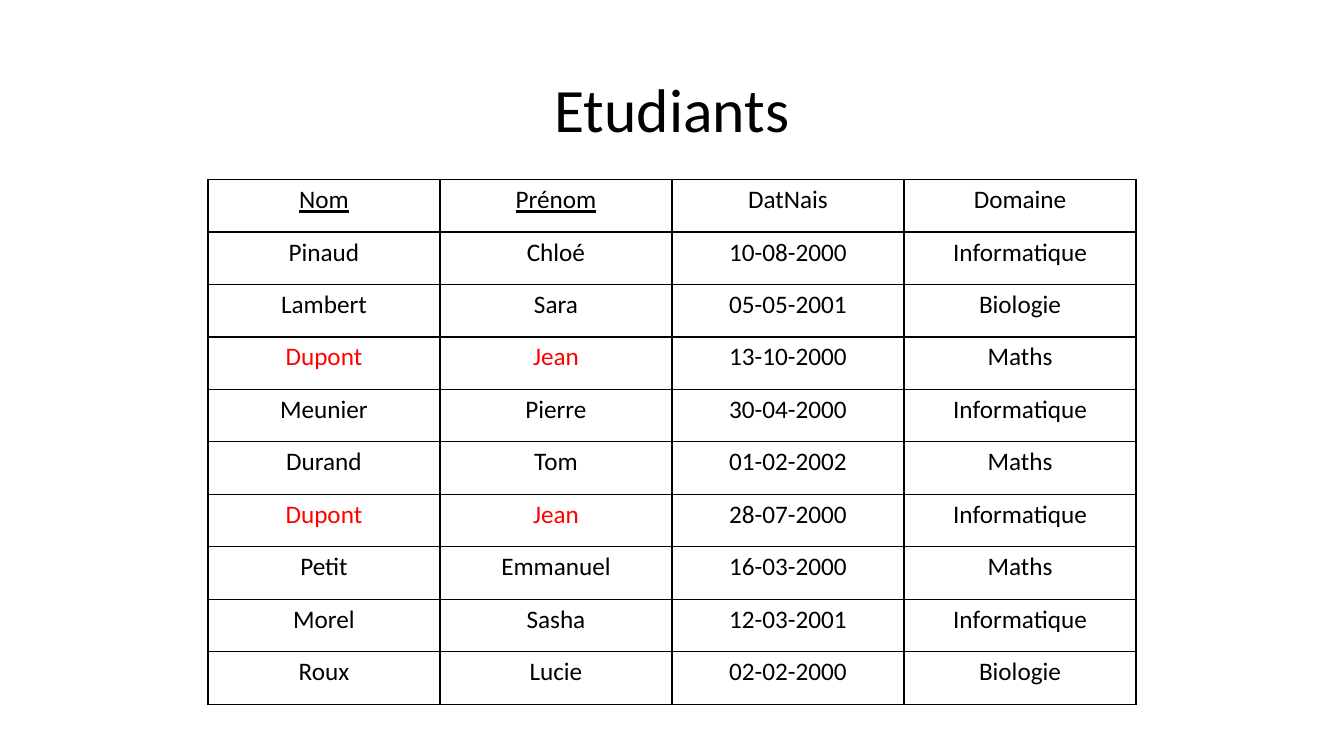
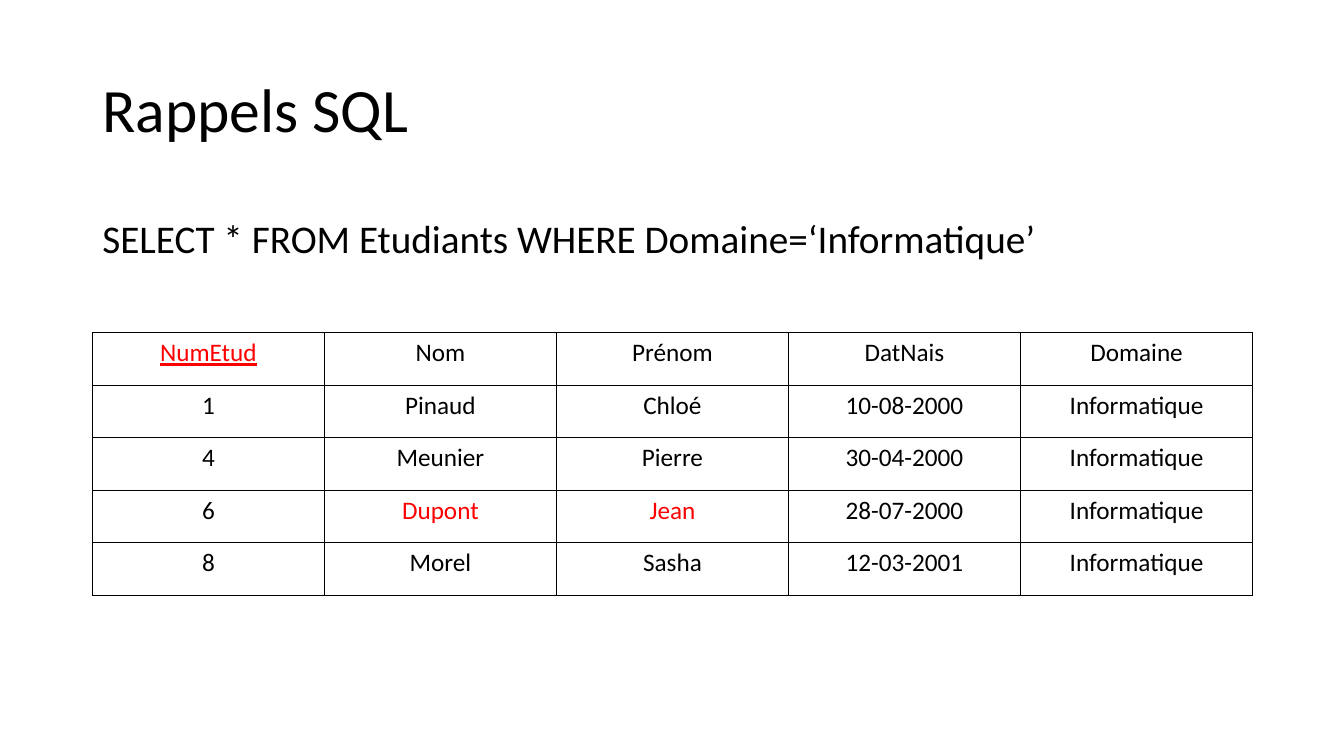
import collections
import dataclasses

import lxml.etree
import pptx
import pptx.dml.color
import pptx.enum.text
import pptx.oxml.ns
import pptx.util

ALIGN = pptx.enum.text.PP_ALIGN
ANCHOR = pptx.enum.text.MSO_ANCHOR
SCALE = 9525
WIDE, HIGH = 1280, 720


@dataclasses.dataclass(frozen=True)
class Theme:
    font: str = "Calibri"
    ink: str = "000000"
    mark: str = "FF0000"
    title: int = 44
    query: int = 28
    cell: int = 18
    rule: int = 1


THEME = Theme()
Box = collections.namedtuple("Box", "left top width height")
HEAD = Box(88, 38, 1104, 139)
QUERY = Box(88, 199, 936, 55)
COL, ROW = 221, 50

FIELDS = ["Nom", "Prénom", "DatNais", "Domaine"]
PEOPLE = [
    ["Pinaud", "Chloé", "10-08-2000", "Informatique"],
    ["Lambert", "Sara", "05-05-2001", "Biologie"],
    ["Dupont", "Jean", "13-10-2000", "Maths"],
    ["Meunier", "Pierre", "30-04-2000", "Informatique"],
    ["Durand", "Tom", "01-02-2002", "Maths"],
    ["Dupont", "Jean", "28-07-2000", "Informatique"],
    ["Petit", "Emmanuel", "16-03-2000", "Maths"],
    ["Morel", "Sasha", "12-03-2001", "Informatique"],
    ["Roux", "Lucie", "02-02-2000", "Biologie"],
]
MARKED = {"NumEtud", "Dupont", "Jean"}


def px(*sizes):
    return [pptx.util.Emu(size * SCALE) for size in sizes]


def write(frame, text, size, align, color=THEME.ink, under=False):
    frame.text = text
    para = frame.paragraphs[0]
    para.alignment = align
    font = para.runs[0].font
    font.name = THEME.font
    font.size = pptx.util.Pt(size)
    font.underline = under
    font.color.rgb = pptx.dml.color.RGBColor.from_string(color)
    return para


def add_text(slide, box, text, size, align=ALIGN.LEFT, anchor=ANCHOR.TOP):
    frame = slide.shapes.add_textbox(*px(*box)).text_frame
    frame.word_wrap = True
    frame.vertical_anchor = anchor
    return write(frame, text, size, align)


def add_title(slide, text, align=ALIGN.LEFT):
    para = add_text(slide, HEAD, text, THEME.title, align, ANCHOR.MIDDLE)
    para.line_spacing = 0.9


def add_edges(cell):
    props = cell._tc.get_or_add_tcPr()
    name = pptx.oxml.ns.qn
    for side in ("a:lnL", "a:lnR", "a:lnT", "a:lnB"):
        line = lxml.etree.SubElement(props, name(side), w=str(pptx.util.Pt(THEME.rule)))
        fill = lxml.etree.SubElement(line, name("a:solidFill"))
        lxml.etree.SubElement(fill, name("a:srgbClr"), val=THEME.ink)


def add_grid(slide, top, rows, keys):
    count = len(rows[0])
    width = count * COL
    box = Box((WIDE - width + 1) // 2, top, width, len(rows) * ROW)
    table = slide.shapes.add_table(len(rows), count, *px(*box)).table
    table.first_row = table.horz_banding = False
    for line, row in enumerate(rows):
        for col, text in enumerate(row):
            cell = table.cell(line, col)
            color = THEME.mark if text in MARKED else THEME.ink
            under = line == 0 and text in keys
            write(cell.text_frame, text, THEME.cell, ALIGN.CENTER, color, under)
            add_edges(cell)
            cell.fill.background()


def list_slide(slide):
    add_title(slide, "Etudiants", ALIGN.CENTER)
    add_grid(slide, 171, [FIELDS] + PEOPLE, {"Nom", "Prénom"})


def query_slide(slide):
    add_title(slide, "Rappels SQL")
    found = [
        [str(number)] + person
        for number, person in enumerate(PEOPLE, 1)
        if person[-1] == "Informatique"
    ]
    add_grid(slide, 317, [["NumEtud"] + FIELDS] + found, {"NumEtud"})
    text = "SELECT * FROM Etudiants WHERE Domaine=‘Informatique’"
    add_text(slide, QUERY, text, THEME.query)


def main():
    deck = pptx.Presentation()
    deck.slide_width, deck.slide_height = px(WIDE, HIGH)
    for build in (list_slide, query_slide):
        build(deck.slides.add_slide(deck.slide_layouts[6]))
    deck.save("out.pptx")


if __name__ == "__main__":
    main()
